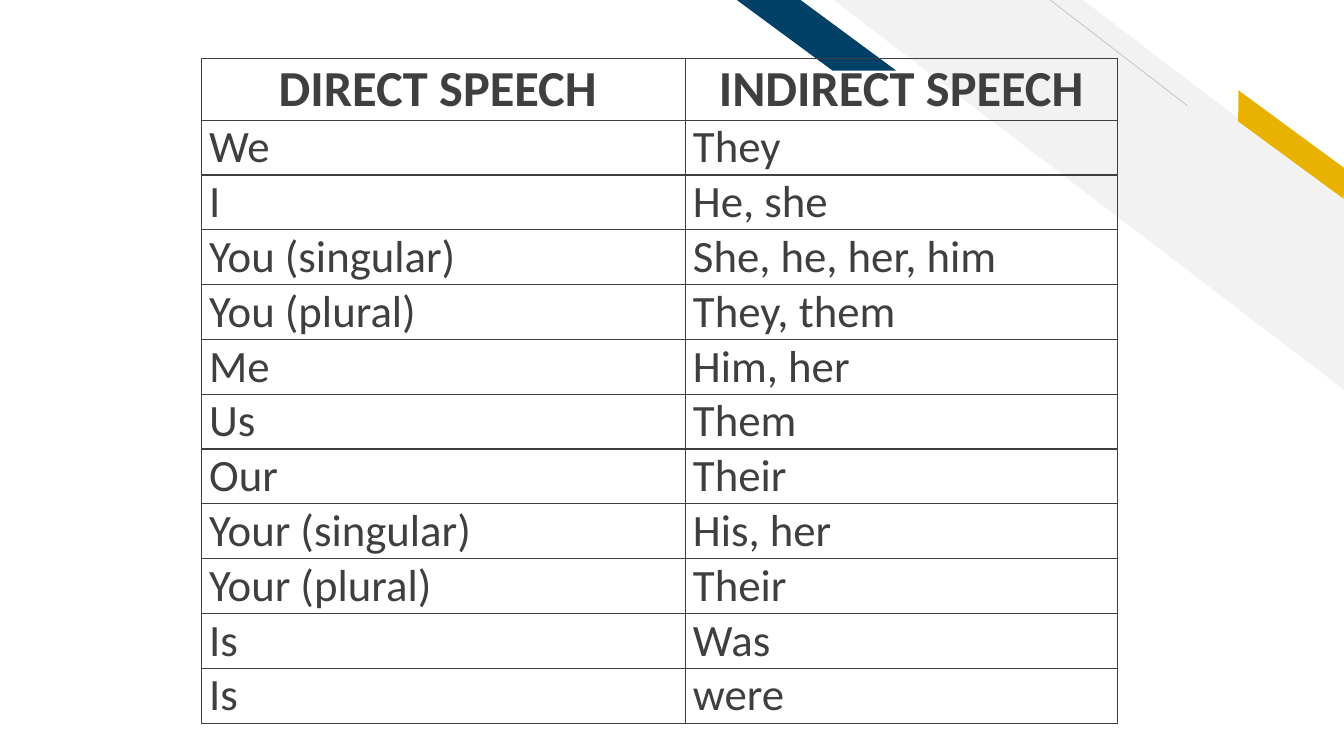
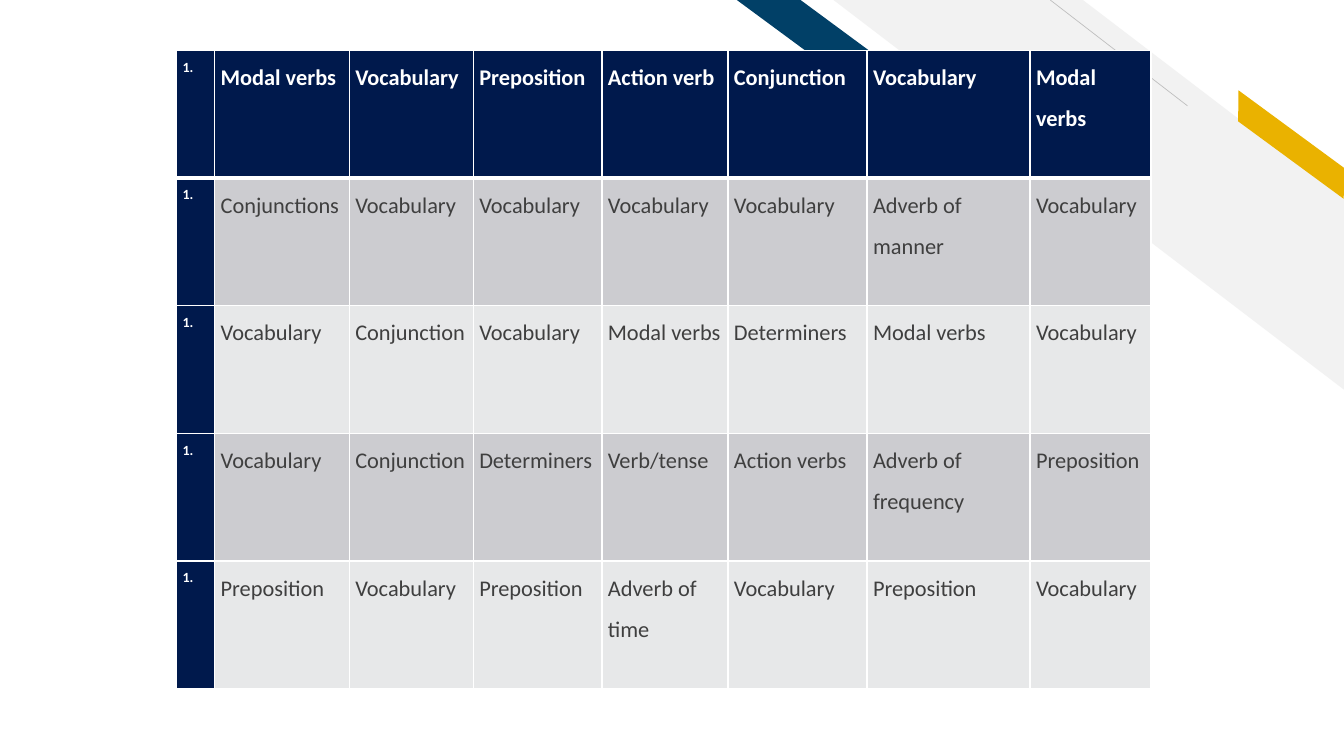
from lxml.etree import SubElement as Sub
from pptx import Presentation
from pptx.dml.color import RGBColor
from pptx.enum.shapes import MSO_CONNECTOR as Link, MSO_SHAPE as Kind
from pptx.enum.text import PP_ALIGN as Align
from pptx.oxml import parse_xml
from pptx.oxml.ns import nsdecls, qn
from pptx.util import Pt

FONT = "Calibri"
INK, WHITE, NAVY = "3F3F3F", "FFFFFF", "00194C"
BANDS = ("CCCCD0", "E7E8E9")

# kind, left, top, width, height, turn, adjustment, fill
STRIPES = [
    (Kind.DIAGONAL_STRIPE, 595.4, 0, 365, 278.6, 0, 0.512, "F2F2F2"),
    (Kind.PARALLELOGRAM, 869, 94.3, 106.5, 18, 36.3, 0.72, "EAB200"),
    (Kind.PARALLELOGRAM, 526.3, 0, 113.8, 50.4, 0, 1.356, "014067"),
]
HAIR = (848.2, 75.6, 750.2, 0)

SPEECH = [
    ("DIRECT SPEECH ", "INDIRECT SPEECH"),
    ("We", "They"),
    ("I", "He, she"),
    ("You (singular)", "She, he, her, him"),
    ("You (plural)", "They, them"),
    ("Me", "Him, her"),
    ("Us", "Them"),
    ("Our", "Their"),
    ("Your (singular)", "His, her"),
    ("Your (plural)", "Their"),
    ("Is", "Was"),
    ("Is", "were"),
]
SKILLS = [
    ("1.", "Modal verbs", "Vocabulary", "Preposition", "Action verb",
     "Conjunction", "Vocabulary", "Modal verbs"),
    ("1.", "Conjunctions", "Vocabulary", "Vocabulary", "Vocabulary",
     "Vocabulary", "Adverb of manner", "Vocabulary"),
    ("1.", "Vocabulary", "Conjunction", "Vocabulary", "Modal verbs",
     "Determiners", "Modal verbs", "Vocabulary"),
    ("1.", "Vocabulary", "Conjunction", "Determiners", "Verb/tense",
     "Action verbs", "Adverb of frequency", "Preposition"),
    ("1.", "Preposition", "Vocabulary", "Preposition", "Adverb of time",
     "Vocabulary", "Preposition", "Vocabulary"),
]


def rgb(code):
    return RGBColor.from_string(code)


def decorate(layout, slide):
    """Draw the corner stripes and move them to the layout all slides share."""
    parts = []
    for kind, x, y, w, h, turn, adj, fill in STRIPES:
        bar = slide.shapes.add_shape(kind, Pt(x), Pt(y), Pt(w), Pt(h))
        bar.adjustments[0] = adj
        bar.rotation = turn
        bar.element.spPr.find(qn("a:xfrm")).set("flipH", "1")
        bar.shadow.inherit = False
        bar.fill.solid()
        bar.fill.fore_color.rgb = rgb(fill)
        bar.line.fill.background()
        parts.append(bar)
    hair = slide.shapes.add_connector(Link.STRAIGHT, *map(Pt, HAIR))
    hair.line.color.rgb = rgb("BFBFBF")
    hair.line.width = Pt(0.5)
    Sub(hair.element.spPr, qn("a:effectLst"))
    parts.insert(1, hair)
    for part in parts:
        layout.shapes.element.append(part.element)


def border(cell, color, top=1, bottom=1):
    props = cell._tc.get_or_add_tcPr()
    sides = (("L", 1), ("R", 1), ("T", top), ("B", bottom))
    for spot, (side, width) in enumerate(sides):
        props.insert(spot, parse_xml(
            f'<a:ln{side} {nsdecls("a")} w="{Pt(width)}"><a:solidFill>'
            f'<a:srgbClr val="{color}"/></a:solidFill></a:ln{side}>'))


def add_grid(slide, rows, left, top, cols, highs, inset):
    """Add a table of plain cells; return it with no style bands."""
    frame = slide.shapes.add_table(len(rows), len(cols), Pt(left), Pt(top),
                                   Pt(sum(cols)), Pt(sum(highs)))
    table = frame.table
    table.first_row = table.horz_banding = False
    for col, width in zip(table.columns, cols):
        col.width = Pt(width)
    for row, high in zip(table.rows, highs):
        row.height = Pt(high)
    for cell in table.iter_cells():
        cell.margin_left = cell.margin_right = Pt(inset)
        cell.margin_top = cell.margin_bottom = 0
    return table


def write(cell, text, size, color, bold):
    para = cell.text_frame.paragraphs[0]
    run = para.add_run()
    run.text = text
    font = run.font
    font.name, font.size, font.bold = FONT, Pt(size), bold
    font.color.rgb = rgb(color)
    return para


def add_speech(slide):
    highs = [44] + [39] * (len(SPEECH) - 1)
    table = add_grid(slide, SPEECH, 144, 41.8, (345.6, 308.4), highs, 5.4)
    for r, row in enumerate(SPEECH):
        head = r == 0
        for c, text in enumerate(row):
            cell = table.cell(r, c)
            cell.fill.background()
            border(cell, INK)
            para = write(cell, text, 36 if head else 32, INK, head)
            para.alignment = Align.CENTER if head else Align.LEFT


def add_skills(slide):
    cols = (27.2, 96.1, 88.6, 91.9, 90, 99.4, 116.4, 86.4)
    table = add_grid(slide, SKILLS, 126.2, 36, cols, [91.2] * len(SKILLS), 4.3)
    for r, row in enumerate(SKILLS):
        for c, text in enumerate(row):
            cell = table.cell(r, c)
            head = r == 0 or c == 0
            cell.fill.solid()
            cell.fill.fore_color.rgb = rgb(NAVY if head else BANDS[(r - 1) % 2])
            border(cell, WHITE, 3 if r == 1 else 1, 3 if r == 0 else 1)
            para = write(cell, text, 16 if c else 10,
                         WHITE if head else INK, head)
            para.line_spacing = 1.5


def main():
    deck = Presentation()
    deck.slide_width, deck.slide_height = Pt(960), Pt(540)
    blank = deck.slide_layouts[6]
    first, second = [deck.slides.add_slide(blank) for _ in range(2)]
    decorate(blank, first)
    add_speech(first)
    add_skills(second)
    deck.save("out.pptx")


if __name__ == "__main__":
    main()
